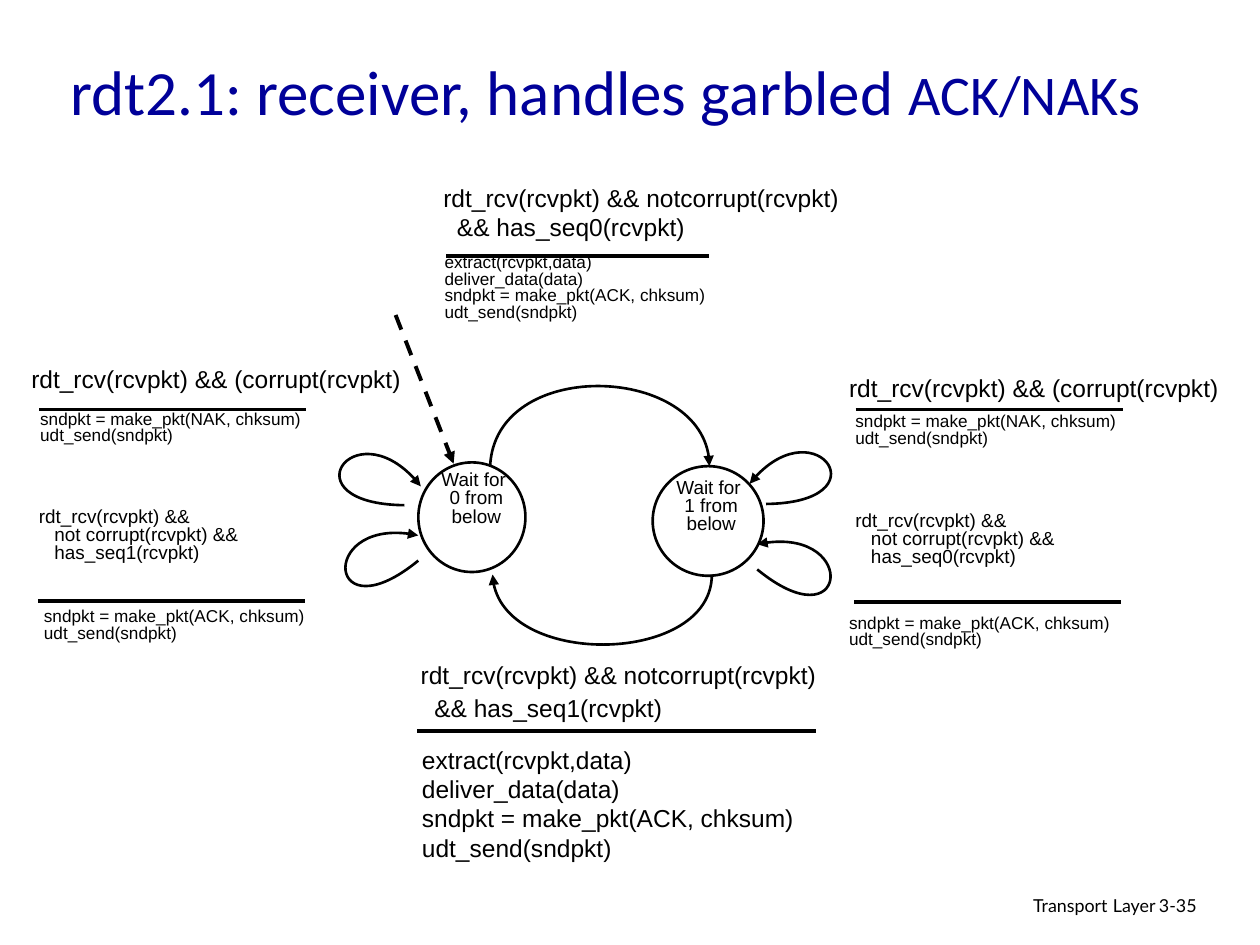
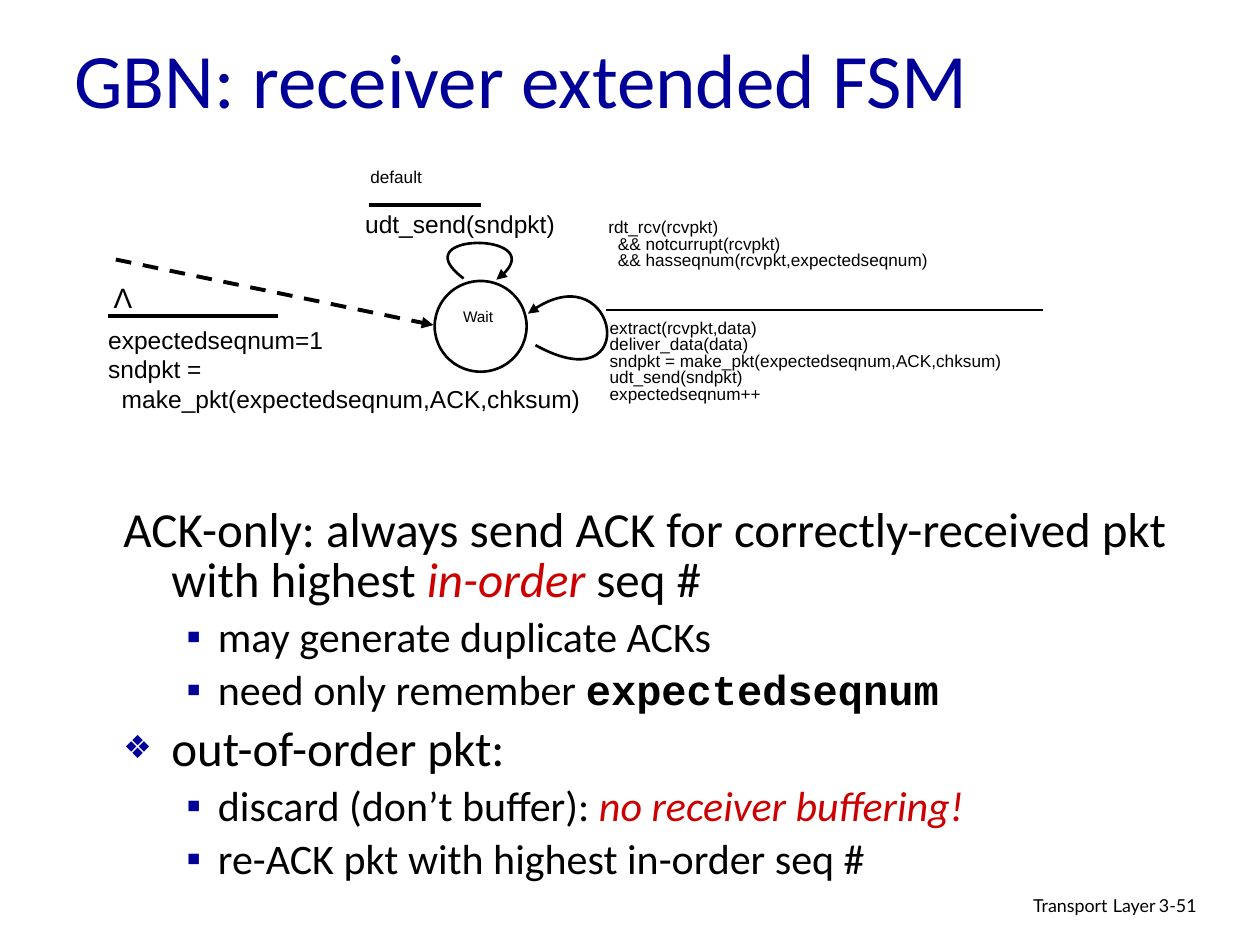
"""Builds two slides with receiver state machines for reliable data transfer."""
import pptx
import pptx.util
import pptx.dml.color
import pptx.enum.dml
import pptx.enum.shapes
import pptx.enum.text
import pptx.oxml
import pptx.oxml.ns

COLORS = {"ink": "000000", "title": "000099", "accent": "CC0000", "paper": "FFFFFF"}
ALIGN = pptx.enum.text.PP_ALIGN
BIG, MID, SMALL, TINY = 14, 10.8, 9.8, 8.8
THICK, THIN = 2.25, 1.5

CORRUPT = ["rdt_rcv(rcvpkt) && (corrupt(rcvpkt)"]
DELIVER = ["extract(rcvpkt,data)", "deliver_data(data)"]
SEND = "udt_send(sndpkt)"
SEND_ACK = ["sndpkt = make_pkt(ACK, chksum)", SEND]
SEND_NAK = ["sndpkt = make_pkt(NAK, chksum)", SEND]


def expected(seq):
    return ["rdt_rcv(rcvpkt) && notcorrupt(rcvpkt)", f"  && has_seq{seq}(rcvpkt)"]


def duplicate(seq):
    return ["rdt_rcv(rcvpkt) &&", "   not corrupt(rcvpkt) &&", f"   has_seq{seq}(rcvpkt)"]


RDT = {
    "title": [("rdt2.1: receiver, handles garbled ", 36), ("ACK/NAKs", 32)],
    "title_box": (0.46, 0.2, 9.1, 1.03),
    "page": "3-35",
    "states": [(3.32, 3.67, 0.85, 0.87), (5.18, 3.7, 0.88, 0.87)],
    "state_labels": [
        ((3.34, 3.7, 0.88, 0.67), MID, ["Wait for ", "0 from below"]),
        ((5.21, 3.76, 0.87, 0.67), MID, ["Wait for ", "1 from below"]),
    ],
    "start": (3.14, 2.5, 3.6, 3.68),
    "curves": [
        [(3.89, 3.7), (3.93, 2.84), (5.63, 2.89), (5.63, 3.7)],
        [(5.65, 4.56), (5.65, 5.27), (3.94, 5.31), (3.91, 4.56)],
        [(6.08, 4), (7.01, 3.99), (6.46, 3.2), (5.95, 3.84)],
        [(6.01, 4.52), (6.73, 5.11), (6.82, 4.15), (6.01, 4.32)],
        [(3.32, 4.45), (2.6, 5.04), (2.52, 4.08), (3.32, 4.25)],
        [(3.21, 4.01), (2.28, 4), (2.83, 3.21), (3.34, 3.86)],
    ],
    "rules": [
        (3.54, 2.03, 2.09, THICK), (3.31, 5.8, 3.17, THICK),
        (0.31, 3.25, 2.12, THICK), (0.3, 4.77, 2.12, THICK),
        (6.79, 3.25, 2.12, THICK), (6.78, 4.78, 2.12, THICK),
    ],
    "labels": [
        ((3.42, 1.4, 4.35, 0.63), BIG, expected(0)),
        ((3.43, 1.98, 3.8, 0.77), SMALL, DELIVER + SEND_ACK),
        ((3.24, 5.19, 3.92, 0.62), BIG, expected(1), 2),
        ((3.25, 5.86, 4.21, 1.09), BIG, DELIVER + SEND_ACK),
        ((0.15, 2.84, 3.14, 0.67), BIG, CORRUPT),
        ((0.22, 3.22, 3.31, 0.45), SMALL, SEND_NAK),
        ((0.21, 3.99, 2.87, 0.67), MID, duplicate(1)),
        ((0.25, 4.79, 3.22, 0.45), SMALL, SEND_ACK),
        ((6.64, 2.91, 3.14, 0.67), BIG, CORRUPT),
        ((6.69, 3.24, 3.31, 0.45), SMALL, SEND_NAK),
        ((6.69, 4.02, 2.87, 0.67), MID, duplicate(0)),
        ((6.64, 4.84, 3.22, 0.45), SMALL, SEND_ACK),
    ],
}

GBN = {
    "title": [("GBN: receiver extended FSM", 44)],
    "title_box": (0.49, 0.23, 8.5, 0.77),
    "page": "3-51",
    "states": [(3.45, 2.23, 0.73, 0.72)],
    "state_labels": [
        ((3.36, 2.42, 0.87, 0.26), TINY, ["Wait"]),
        ((0.75, 2.18, 0.45, 0.37), 16, ["Λ"]),
    ],
    "start": (0.92, 2.06, 3.44, 2.58),
    "curves": [
        [(4.25, 2.74), (5.1, 3.21), (4.9, 1.95), (4.19, 2.49)],
        [(3.68, 2.21), (3.18, 1.84), (4.45, 1.84), (3.94, 2.22)],
    ],
    "rules": [(2.93, 1.63, 0.89, THICK), (4.81, 2.46, 3.47, THIN), (0.86, 2.51, 1.35, THICK)],
    "labels": [
        ((2.84, 1.3, 0.79, 0.27), SMALL, ["default"]),
        ((2.8, 1.61, 1.77, 0.34), BIG, [SEND]),
        ((4.73, 1.7, 3.9, 0.62), SMALL,
         ["rdt_rcv(rcvpkt)", "  && notcurrupt(rcvpkt)",
          "  && hasseqnum(rcvpkt,expectedseqnum)"]),
        ((4.74, 2.5, 4.72, 0.94), SMALL,
         DELIVER + ["sndpkt = make_pkt(expectedseqnum,ACK,chksum)", SEND, "expectedseqnum++"]),
        ((0.76, 2.53, 3.98, 1.07), BIG,
         ["expectedseqnum=1", "sndpkt =", "  make_pkt(expectedseqnum,ACK,chksum)"]),
    ],
    "body_box": (0.88, 3.98, 8.91, 3.12),
    "body": [
        ("plain", [("ACK-only: always send ACK for correctly-received pkt with highest ", ""),
                   ("in-order", "accent"), (" seq #", "")]),
        ("sub", [("may generate duplicate ACKs", "")]),
        ("sub", [("need only remember ", ""), ("expectedseqnum", "code")]),
        ("point", [("out-of-order pkt:", "")]),
        ("sub", [("discard (don’t buffer): ", ""), ("no receiver buffering!", "accent")]),
        ("sub", [("re-ACK pkt with highest in-order seq #", "")]),
    ],
}

BODY_STYLES = {
    "plain": dict(level=0, size=28, left=0.38, hang=0.38, before=7, bullet=None, scale=100),
    "point": dict(level=0, size=28, left=0.38, hang=0.38, before=7, bullet="❖", scale=65),
    "sub": dict(level=1, size=24, left=0.75, hang=0.25, before=6, bullet="▪", scale=100),
}


def inches(values):
    return [pptx.util.Inches(v) for v in values]


def rgb(name):
    return pptx.dml.color.RGBColor.from_string(COLORS[name])


def add_run(p, text, size, font="Arial", color="ink"):
    r = p.add_run()
    r.text = text
    r.font.size = pptx.util.Pt(size)
    r.font.name = font
    r.font.color.rgb = rgb(color)
    return r


def add_label(s, box, size, lines, gap=0, align=ALIGN.LEFT):
    tf = s.shapes.add_textbox(*inches(box)).text_frame
    tf.word_wrap = True
    for i, line in enumerate(lines):
        p = tf.add_paragraph() if i else tf.paragraphs[0]
        p.alignment = align
        p.line_spacing = 0.8 if size < BIG else 1.0
        if i and gap:
            p.space_before = pptx.util.Pt(gap)
        add_run(p, line, size)


def set_line(sp, width):
    sp.line.color.rgb = rgb("ink")
    sp.line.width = pptx.util.Pt(width)


def add_xml(parent, tag, **attrs):
    el = pptx.oxml.parse_xml(f"<a:{tag} {pptx.oxml.ns.nsdecls('a')}/>")
    for key, value in attrs.items():
        el.set(key, value)
    parent.append(el)
    return el


def add_arrowhead(sp):
    add_xml(sp.element.spPr.find(pptx.oxml.ns.qn("a:ln")), "tailEnd", type="triangle")


def add_line(s, x1, y1, x2, y2, width, arrow=False):
    sp = s.shapes.add_connector(pptx.enum.shapes.MSO_CONNECTOR.STRAIGHT, *inches((x1, y1, x2, y2)))
    set_line(sp, width)
    if arrow:
        sp.line.dash_style = pptx.enum.dml.MSO_LINE.DASH
        add_arrowhead(sp)
    add_xml(sp.element.spPr, "effectLst")


def add_curve(s, points):
    start, *rest = [tuple(inches(pt)) for pt in points]
    builder = s.shapes.build_freeform(*start)
    builder.add_line_segments(rest, close=False)
    sp = builder.convert_to_shape()
    sp.shadow.inherit = False
    sp.fill.background()
    set_line(sp, THIN)
    add_arrowhead(sp)
    segments = list(sp.element.iter(pptx.oxml.ns.qn("a:lnTo")))
    bezier = add_xml(segments[0].getparent(), "cubicBezTo")
    for segment in segments:
        bezier.append(segment[0])
        segment.getparent().remove(segment)


def add_state(s, box):
    sp = s.shapes.add_shape(pptx.enum.shapes.MSO_SHAPE.OVAL, *inches(box))
    sp.shadow.inherit = False
    sp.fill.solid()
    sp.fill.fore_color.rgb = rgb("paper")
    set_line(sp, THIN)


def place(sp, box):
    sp.left, sp.top, sp.width, sp.height = inches(box)
    sp.text_frame.auto_size = pptx.enum.text.MSO_AUTO_SIZE.NONE
    sp.text_frame.word_wrap = True
    return sp.text_frame


def add_title(s, box, runs):
    tf = place(s.shapes.title, box)
    tf.vertical_anchor = pptx.enum.text.MSO_ANCHOR.MIDDLE
    p = tf.paragraphs[0]
    p.alignment = ALIGN.LEFT
    for text, size in runs:
        add_run(p, text, size, "Calibri", "title")


def add_footer(s, page):
    parts = [
        ((6.1, 7.05, 3.17, 0.31), ALIGN.RIGHT, [("Transport", 10.2), (" ", 11.9), ("Layer", 10.2)]),
        ((9.1, 7.07, 0.74, 0.3), ALIGN.LEFT, [(page, 10.2)]),
    ]
    for box, align, runs in parts:
        tf = s.shapes.add_textbox(*inches(box)).text_frame
        tf.word_wrap = True
        p = tf.paragraphs[0]
        p.alignment = align
        p.line_spacing = 0.9
        for text, size in runs:
            add_run(p, text, size, "Lato")


def add_body(s, box, items):
    tf = place(s.placeholders[1], box)
    for i, (kind, runs) in enumerate(items):
        style = BODY_STYLES[kind]
        p = tf.add_paragraph() if i else tf.paragraphs[0]
        p.level = style["level"]
        ppr = p._p.get_or_add_pPr()
        ppr.set("marL", str(pptx.util.Inches(style["left"])))
        ppr.set("indent", str(-pptx.util.Inches(style["hang"])))
        if style["bullet"]:
            add_xml(add_xml(ppr, "buClr"), "srgbClr", val=COLORS["title"])
            add_xml(ppr, "buSzPct", val=str(style["scale"] * 1000))
            add_xml(ppr, "buChar", char=style["bullet"])
        else:
            add_xml(ppr, "buNone")
        p.line_spacing = 0.85
        p.space_before = pptx.util.Pt(style["before"] if i else 0)
        for text, look in runs:
            font = "Courier New" if look == "code" else "Calibri"
            r = add_run(p, text, style["size"], font, "accent" if look == "accent" else "ink")
            r.font.bold = look == "code"
            r.font.italic = look == "accent"


def add_machine(prs, content):
    s = prs.slides.add_slide(prs.slide_layouts[1 if "body" in content else 5])
    add_title(s, content["title_box"], content["title"])
    if "body" in content:
        add_body(s, content["body_box"], content["body"])
    for box in content["states"]:
        add_state(s, box)
    for label in content["state_labels"]:
        add_label(s, *label, align=ALIGN.CENTER)
    add_line(s, *content["start"], THICK, arrow=True)
    for points in content["curves"]:
        add_curve(s, points)
    for x, y, length, width in content["rules"]:
        add_line(s, x, y, x + length, y, width)
    for label in content["labels"]:
        add_label(s, *label)
    add_footer(s, content["page"])


def main():
    prs = pptx.Presentation()
    prs.slide_width, prs.slide_height = inches((10, 7.5))
    for content in (RDT, GBN):
        add_machine(prs, content)
    prs.save("out.pptx")


if __name__ == "__main__":
    main()
